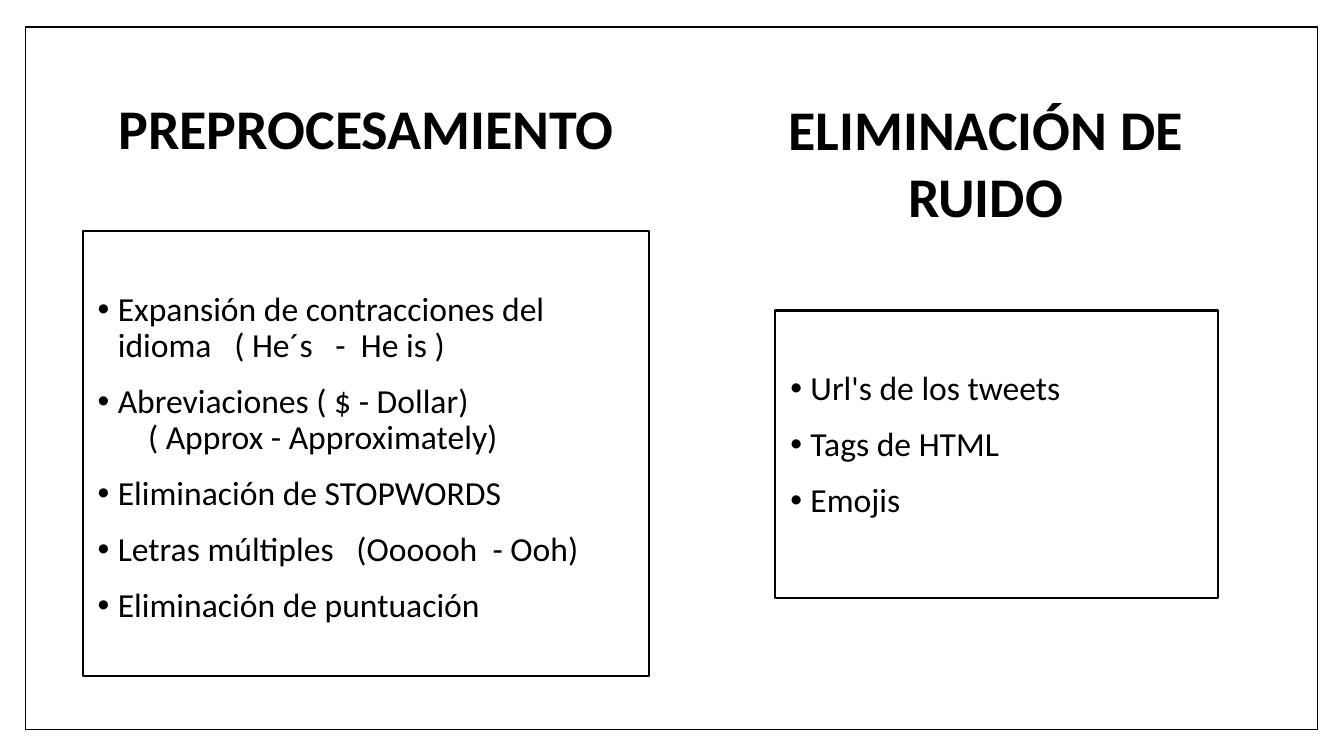
from dataclasses import dataclass

from lxml import etree
from pptx import Presentation
from pptx.dml.color import RGBColor
from pptx.enum.shapes import MSO_SHAPE
from pptx.enum.text import MSO_ANCHOR, PP_ALIGN
from pptx.oxml.ns import qn
from pptx.util import Inches, Pt

RECT = MSO_SHAPE.RECTANGLE
TOP, MIDDLE = MSO_ANCHOR.TOP, MSO_ANCHOR.MIDDLE
LEFT, CENTER = PP_ALIGN.LEFT, PP_ALIGN.CENTER


@dataclass(frozen=True)
class Theme:
    font: str = "Calibri"
    ink: RGBColor = RGBColor(0, 0, 0)
    paper: RGBColor = RGBColor(255, 255, 255)
    title: int = 40
    body: int = 24


THEME = Theme()

# Each item: text, and whether it has a bullet
STEPS = [
    ("Expansión de contracciones del idioma   ( He´s   -  He is )", True),
    ("Abreviaciones ( $ - Dollar)", True),
    ("( Approx\u00a0- Approximately)".replace("\u00a0", " "), False),
    ("Eliminación de STOPWORDS", True),
    ("Letras múltiples   (Oooooh  - Ooh)", True),
    ("Eliminación de puntuación", True),
]
NOISE = [
    ("Url's de los tweets", True),
    ("Tags de HTML", True),
    ("Emojis", True),
]


def write(par, text, size=THEME.body, bold=False, align=LEFT, lead=0.9, before=0):
    """Put formatted text into a paragraph."""
    par.alignment = align
    par.line_spacing = lead
    par.space_before = Pt(before)
    run = par.add_run()
    run.text = text
    run.font.name = THEME.font
    run.font.size = Pt(size)
    run.font.bold = bold
    run.font.color.rgb = THEME.ink


def indent(par, left, hang=0, mark=None):
    """Set the indents and, if given, the bullet."""
    props = par._p.get_or_add_pPr()
    props.set("marL", str(Inches(left)))
    props.set("indent", str(-Inches(hang)))
    if mark:
        font = etree.SubElement(props, qn("a:buFont"))
        font.set("typeface", "Arial")
        etree.SubElement(props, qn("a:buChar")).set("char", mark)
    else:
        etree.SubElement(props, qn("a:buNone"))


def add_box(slide, x, y, w, h, line=1.5):
    box = slide.shapes.add_shape(RECT, Inches(x), Inches(y), Inches(w), Inches(h))
    box.shadow.inherit = False
    box.fill.solid()
    box.fill.fore_color.rgb = THEME.paper
    box.line.color.rgb = THEME.ink
    box.line.width = Pt(line)
    return box


def add_title(slide, text, x, y, w, h, anchor=TOP, lead=1.0):
    frame = slide.shapes.add_textbox(
        Inches(x), Inches(y), Inches(w), Inches(h)).text_frame
    frame.word_wrap = True
    frame.vertical_anchor = anchor
    write(frame.paragraphs[0], text, size=THEME.title, bold=True,
          align=CENTER, lead=lead)


def add_list(slide, items, x, y, w, h):
    frame = add_box(slide, x, y, w, h).text_frame
    frame.word_wrap = True
    frame.vertical_anchor = TOP
    frame.margin_top = Inches(0.61)
    for i, (text, marked) in enumerate(items):
        par = frame.add_paragraph() if i else frame.paragraphs[0]
        write(par, text, before=14 if i and marked else 0)
        if marked:
            indent(par, 0.25, hang=0.2, mark="•")
        else:
            indent(par, 0.55)


def main():
    deck = Presentation()
    deck.slide_width, deck.slide_height = Inches(13.33), Inches(7.5)
    slide = deck.slides.add_slide(deck.slide_layouts[6])

    # Outer frame
    add_box(slide, 0.25, 0.27, 12.82, 6.97, line=1)

    # Left: preprocessing
    add_title(slide, "PREPROCESAMIENTO", 0.59, 0.56, 6.08, 1.48,
              anchor=MIDDLE, lead=0.9)
    add_list(slide, STEPS, 0.82, 2.29, 5.62, 4.42)

    # Right: noise removal
    add_title(slide, "ELIMINACIÓN DE RUIDO", 7.47, 0.89, 4.61, 1.45)
    add_list(slide, NOISE, 7.69, 3.08, 4.39, 2.85)

    deck.save("out.pptx")


if __name__ == "__main__":
    main()
